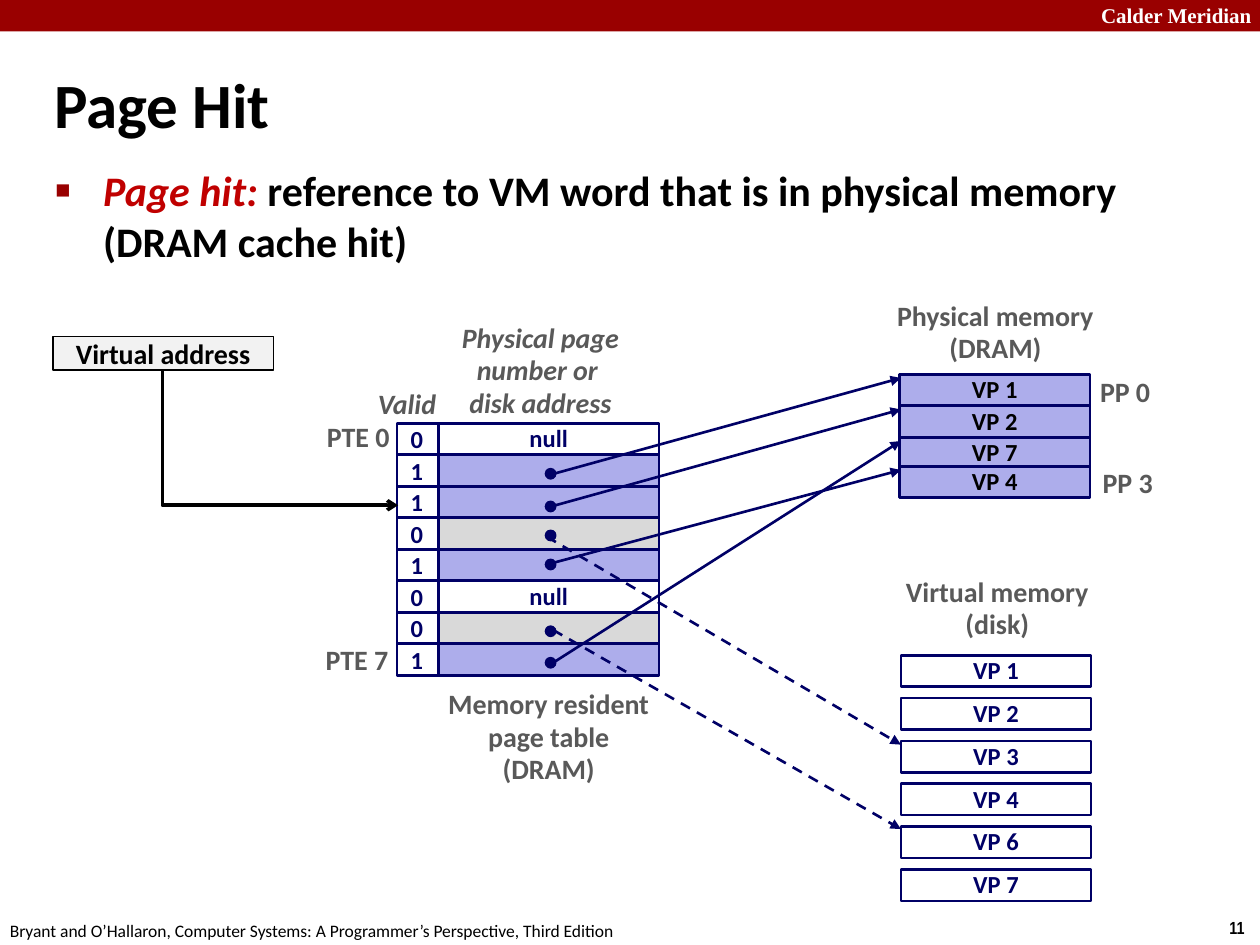
from lxml import etree
from pptx import Presentation
from pptx.dml.color import RGBColor
from pptx.enum.dml import MSO_LINE
from pptx.enum.shapes import MSO_CONNECTOR, MSO_SHAPE
from pptx.enum.text import MSO_ANCHOR, PP_ALIGN
from pptx.oxml.ns import qn
from pptx.util import Inches, Pt

RECTANGLE, OVAL = MSO_SHAPE.RECTANGLE, MSO_SHAPE.OVAL
STRAIGHT, DASH = MSO_CONNECTOR.STRAIGHT, MSO_LINE.DASH
LEFT, CENTER, RIGHT = PP_ALIGN.LEFT, PP_ALIGN.CENTER, PP_ALIGN.RIGHT
TOP, MIDDLE = MSO_ANCHOR.TOP, MSO_ANCHOR.MIDDLE
TITLE_ONLY = 5
COLORS = {
    "crimson": "990000", "red": "C00000", "navy": "000066", "lavender": "ADADEB",
    "silver": "D9D9D9", "gray": "595959", "pale": "F2F2F2", "black": "000000",
    "white": "FFFFFF",
}


class SlideBuilder:
    """Holds the slide and its style, and draws each kind of element."""

    def __init__(self, slide):
        self.slide = slide
        self.shapes = slide.shapes

    def color(self, name):
        return RGBColor.from_string(COLORS[name])

    def add_text(self, paragraph, text, size, color, **formats):
        run = paragraph.add_run()
        run.text = text
        values = {"name": "Calibri", "size": Pt(size), "bold": True, "italic": False}
        for key, value in (values | formats).items():
            setattr(run.font, key, value)
        run.font.color.rgb = self.color(color)

    def fill_text(self, shape, text, size, color, align=CENTER, anchor=MIDDLE,
                  wrap=False, spacing=0.98, **formats):
        frame = shape.text_frame
        frame.word_wrap = wrap
        frame.vertical_anchor = anchor
        for index, line in enumerate(text.split("\n")):
            paragraph = frame.add_paragraph() if index else frame.paragraphs[0]
            paragraph.alignment = align
            paragraph.line_spacing = spacing
            self.add_text(paragraph, line, size, color, **formats)

    def title(self, text, box):
        title = self.shapes.title
        for key, value in zip(("left", "top", "width", "height"), box):
            setattr(title, key, Inches(value))
        self.fill_text(title, text, 36, "black", align=LEFT, wrap=True, spacing=1.0)

    def label(self, text, box, size=16, color="gray", **formats):
        shape = self.shapes.add_textbox(*map(Inches, box))
        self.fill_text(shape, text, size, color, **formats)

    def bullet(self, parts, box):
        frame = self.shapes.add_textbox(*map(Inches, box)).text_frame
        frame.word_wrap = True
        paragraph = frame.paragraphs[0]
        for text, color, italic in parts:
            self.add_text(paragraph, text, 24, color, italic=italic)
        properties = paragraph._p.get_or_add_pPr()
        properties.set("marL", str(Inches(0.38)))
        properties.set("indent", str(Inches(-0.38)))
        color = etree.SubElement(properties, qn("a:buClr"))
        etree.SubElement(color, qn("a:srgbClr"), val=COLORS["crimson"])
        etree.SubElement(properties, qn("a:buSzPct"), val="60000")
        etree.SubElement(properties, qn("a:buFont"), typeface="Arial")
        etree.SubElement(properties, qn("a:buChar"), char="■")

    def box(self, box, fill=None, line="navy", width=1.5, kind=RECTANGLE):
        shape = self.shapes.add_shape(kind, *map(Inches, box))
        shape.shadow.inherit = False
        if fill:
            shape.fill.solid()
            shape.fill.fore_color.rgb = self.color(fill)
        else:
            shape.fill.background()
        if line:
            shape.line.color.rgb = self.color(line)
            shape.line.width = Pt(width)
        else:
            shape.line.fill.background()
        return shape

    def arrow(self, start, end, color="navy", width=1.5, dash=None, head="triangle"):
        connector = self.shapes.add_connector(STRAIGHT, *map(Inches, start + end))
        connector.line.color.rgb = self.color(color)
        connector.line.width = Pt(width)
        if dash:
            connector.line.dash_style = dash
        properties = connector._element.spPr
        etree.SubElement(properties.find(qn("a:ln")), qn("a:tailEnd"), type=head)
        etree.SubElement(properties, qn("a:effectLst"))
        return connector

    def down_then_right(self, start, end, **style):
        middle_x, middle_y = (start[0] + end[0]) / 2, (start[1] + end[1]) / 2
        half_x, half_y = (end[1] - start[1]) / 2, (end[0] - start[0]) / 2
        connector = self.arrow((middle_x + half_x, middle_y - half_y),
                               (middle_x - half_x, middle_y + half_y), **style)
        properties = connector._element.spPr
        properties.find(qn("a:xfrm")).set("rot", "16200000")
        properties.find(qn("a:prstGeom")).set("prst", "bentConnector2")


presentation = Presentation()
presentation.slide_width, presentation.slide_height = Inches(10), Inches(7.5)
slide = presentation.slides.add_slide(presentation.slide_layouts[TITLE_ONLY])
builder = SlideBuilder(slide)

builder.box((0, 0, 10, 0.25), "crimson", line=None)
builder.label("Calder Meridian", (8.64, -0.03, 1.43, 0.3), 12, "white", align=LEFT,
              anchor=TOP, spacing=1.0, name="Times New Roman")
builder.label("11", (9.66, 7.23, 0.34, 0.27), 10, "black", align=LEFT, anchor=TOP,
              spacing=1.0, name="Arial Narrow")
builder.label("Bryant and O’Hallaron, Computer Systems: A Programmer’s Perspective, "
              "Third Edition", (-0.02, 7.25, 5.08, 0.27), 10, "black", align=LEFT,
              anchor=TOP, spacing=1.0, bold=False)
builder.title("Page Hit", (0.33, 0.39, 9.06, 0.86))
builder.bullet([("Page hit: ", "red", True),
                ("reference to VM word that is in physical memory (DRAM cache hit)",
                 "black", False)], (0.34, 1.26, 9.09, 0.66))

ROW = 0.25
PAGE_TABLE = [("0", "white"), ("1", "lavender"), ("1", "lavender"), ("0", "silver"),
              ("1", "lavender"), ("0", "white"), ("0", "silver"), ("1", "lavender")]
for index, (valid, fill) in enumerate(PAGE_TABLE):
    top = 3.36 + index * ROW
    entry = builder.box((3.48, top, 1.75, ROW), fill)
    if fill == "white":
        builder.fill_text(entry, "null", 14, "navy")
    builder.box((3.15, top, 0.33, ROW))
    builder.label(valid, (3.16, top - 0.03, 0.31, 0.33), 14, "navy", align=LEFT,
                  anchor=TOP)

for page, top in zip((1, 2, 7, 4), (2.97, 3.22, 3.47, 3.7)):
    frame = builder.box((7.14, top, 1.51, ROW), "lavender")
    builder.fill_text(frame, f"VP {page}", 14, "black")
for index, page in enumerate((1, 2, 3, 4, 6, 7)):
    block = builder.box((7.15, 5.2 + index * 0.34, 1.51, ROW), "white")
    builder.fill_text(block, f"VP {page}", 14, "navy")

builder.label("Memory resident\npage table\n(DRAM)", (3.43, 5.41, 1.85, 0.89), anchor=TOP)
builder.label("Physical memory\n(DRAM)", (7.01, 2.33, 1.78, 0.63), anchor=TOP)
builder.label("Virtual memory\n(disk)", (7.07, 4.52, 1.69, 0.63), anchor=TOP)
builder.label("Valid", (2.9, 3.03, 0.75, 0.37), align=LEFT, anchor=TOP, wrap=True,
              italic=True)
builder.label("Physical page\nnumber or \ndisk address", (3.56, 2.5, 1.46, 0.89),
              italic=True)
builder.label("PTE 0", (2.49, 3.29, 0.7, 0.37), align=RIGHT)
builder.label("PTE 7", (2.48, 5.06, 0.7, 0.37), align=RIGHT)
builder.label("PP 0", (8.63, 2.93, 0.6, 0.37))
builder.label("PP 3", (8.65, 3.65, 0.6, 0.37))

POINTERS = [
    (3.72, (4.36, 3.77), 3, None), (3.98, (4.41, 4.01), 3.25, None),
    (4.21, (4.34, 4.26), 5.91, DASH), (4.44, (4.38, 4.47), 3.73, None),
    (4.97, (4.39, 5), 6.58, DASH), (5.22, (4.39, 5.26), 3.5, None),
]
for dot_top, start, target, dash in POINTERS:
    builder.box((4.33, dot_top, 0.08, 0.08), "navy", width=1, kind=OVAL)
    builder.arrow(start, (7.15, target), dash=dash)

address = builder.box((0.42, 2.67, 1.75, 0.27), "pale", "black", 1)
builder.fill_text(address, "Virtual address", 16, "black", wrap=True, spacing=1.0)
builder.down_then_right((1.29, 2.93), (3.16, 4.01), color="black", width=2, head="arrow")

presentation.save("out.pptx")
